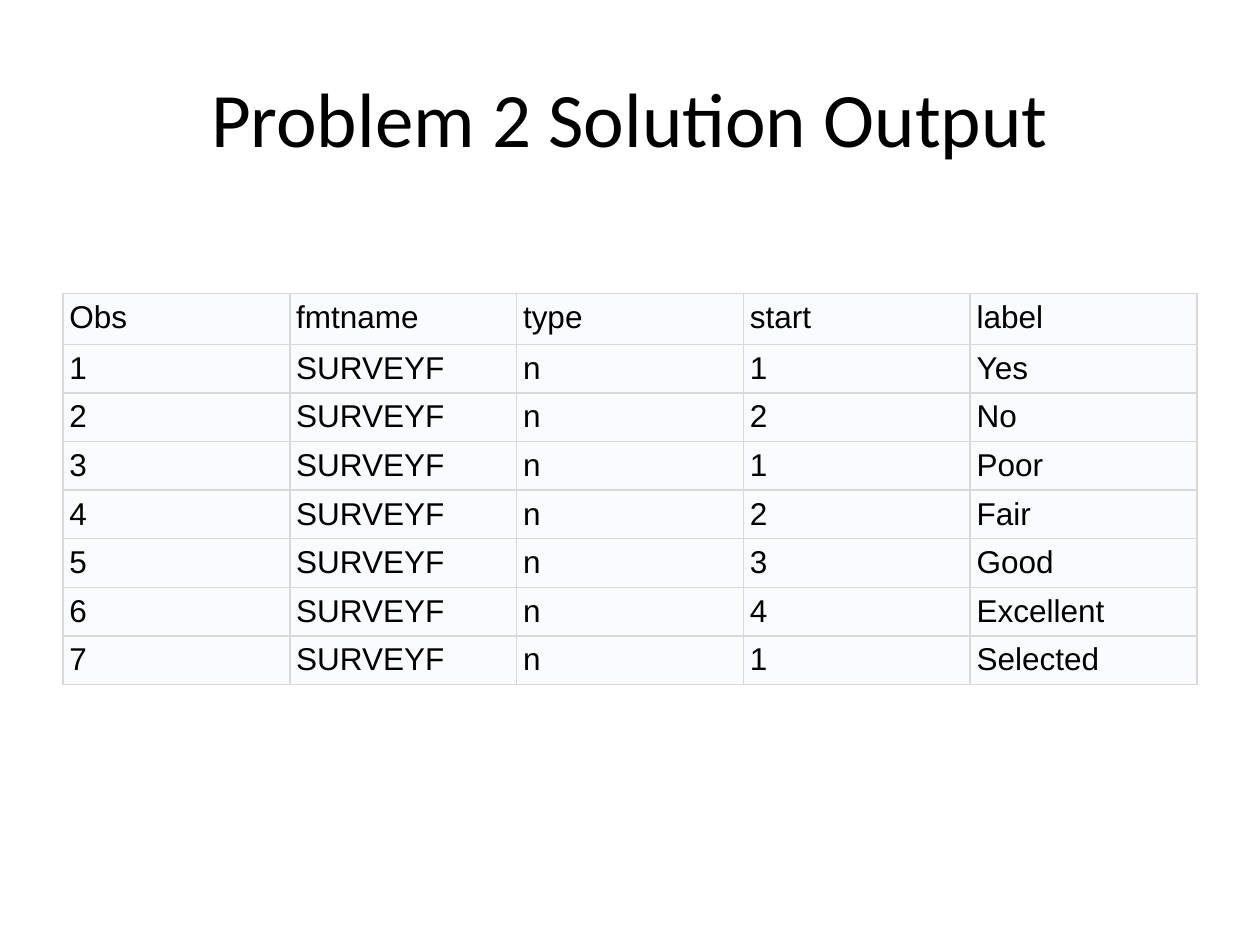
"""Build the Problem 2 solution output slide with its format table."""
from lxml import etree
from pptx import Presentation
from pptx.dml.color import RGBColor
from pptx.enum.text import MSO_ANCHOR, PP_ALIGN
from pptx.oxml.ns import qn
from pptx.util import Cm, Pt

MIDDLE = MSO_ANCHOR.MIDDLE
CENTER = PP_ALIGN.CENTER
TITLE_ONLY = 5
BLACK, CELL_FILL, BORDER = "000000", "FAFBFE", "D9D9D9"
MARGINS = ("margin_left", "margin_right", "margin_top", "margin_bottom")


def color(value):
    return RGBColor.from_string(value)


def format_text(para, name, size):
    for attribute, value in {"name": name, "size": Pt(size)}.items():
        setattr(para.runs[0].font, attribute, value)
    para.runs[0].font.color.rgb = color(BLACK)


deck = Presentation()
deck.slide_width, deck.slide_height = Cm(25.4), Cm(19.05)
page = deck.slides.add_slide(deck.slide_layouts[TITLE_ONLY])

title = page.shapes.title
title_place = {"left": 1.27, "top": 0.76, "width": 22.86, "height": 3.18}
for attribute, value in title_place.items():
    setattr(title, attribute, Cm(value))
title.text_frame.text = "Problem 2 Solution Output"
title.text_frame.vertical_anchor = MIDDLE
title.text_frame.paragraphs[0].alignment = CENTER
format_text(title.text_frame.paragraphs[0], "Calibri", 44)

answers = [("1", "Yes"), ("2", "No"), ("1", "Poor"), ("2", "Fair"),
           ("3", "Good"), ("4", "Excellent"), ("1", "Selected")]
rows = [("Obs", "fmtname", "type", "start", "label")]
for number, (start, label) in enumerate(answers, 1):
    rows.append((str(number), "SURVEYF", "n", start, label))

frame = page.shapes.add_table(len(rows), len(rows[0]), Cm(1.27), Cm(5.92),
                              Cm(22.86), Cm(8.2))
table = frame.table
table.first_row = False
table.horz_banding = False

for row_index, values in enumerate(rows):
    table.rows[row_index].height = Cm(0.98 if row_index else 1.02)
    for column_index, value in enumerate(values):
        cell = table.cell(row_index, column_index)
        cell.text = value
        format_text(cell.text_frame.paragraphs[0], "Arial", 18)
        for margin in MARGINS:
            setattr(cell, margin, Cm(0.13))
        properties = cell._tc.get_or_add_tcPr()
        for side in ("a:lnL", "a:lnR", "a:lnT", "a:lnB"):
            line = etree.SubElement(properties, qn(side), w=str(Pt(1)))
            fill = etree.SubElement(line, qn("a:solidFill"))
            etree.SubElement(fill, qn("a:srgbClr"), val=BORDER)
        cell.fill.solid()
        cell.fill.fore_color.rgb = color(CELL_FILL)

deck.save("out.pptx")
